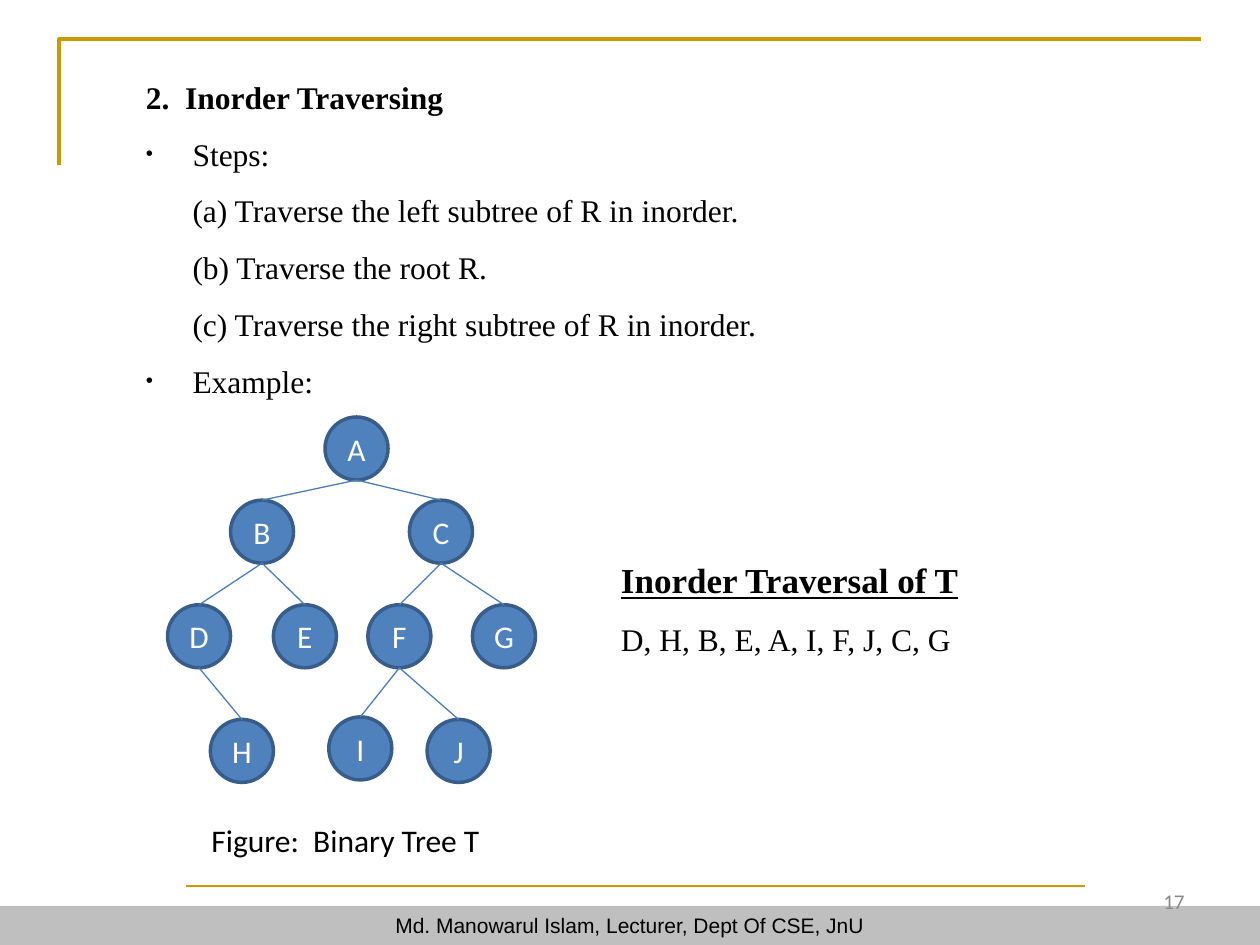
from lxml import etree
from pptx import Presentation
from pptx.dml.color import RGBColor
from pptx.enum.shapes import MSO_CONNECTOR, MSO_SHAPE
from pptx.enum.text import MSO_ANCHOR, MSO_AUTO_SIZE, PP_ALIGN
from pptx.oxml.ns import qn
from pptx.util import Pt


def color(hex_string):
    return RGBColor.from_string(hex_string)


def write(paragraph, text, font_color, **formats):
    run = paragraph.add_run()
    run.text = text
    run.font.color.rgb = color(font_color)
    for name, value in formats.items():
        setattr(run.font, name, value)


GOLD, BLACK, WHITE = "CC9900", "000000", "FFFFFF"
SERIF, SANS = "Times New Roman", "Calibri"

prs = Presentation()
prs.slide_width, prs.slide_height = Pt(720), Pt(540)
slide = prs.slides.add_slide(prs.slide_layouts[6])
shapes = slide.shapes

# Gold rule above the footer
footer_rule = shapes.add_connector(
    MSO_CONNECTOR.STRAIGHT, Pt(106.56), Pt(506.16), Pt(619.92), Pt(506.16))
footer_rule.line.color.rgb = color(GOLD)
footer_rule.line.width = Pt(1)
etree.SubElement(footer_rule._element.spPr, qn("a:effectLst"))

# Grey footer band
footer = shapes.add_shape(MSO_SHAPE.RECTANGLE, 0, Pt(517.68), Pt(720), Pt(22.32))
footer.shadow.inherit = False
footer.fill.solid()
footer.fill.fore_color.rgb = color("BFBFBF")
footer.line.fill.background()
footer.text_frame.vertical_anchor = MSO_ANCHOR.TOP
credit = footer.text_frame.paragraphs[0]
credit.alignment = PP_ALIGN.CENTER
write(credit, "Md. Manowarul Islam, Lecturer, Dept Of CSE, JnU", BLACK,
      size=Pt(12), name="Arial")

# Gold corner frame
corner_builder = shapes.build_freeform(Pt(33.84), Pt(94.32))
corner_builder.add_line_segments(
    [(Pt(33.84), Pt(22.32)), (Pt(686.16), Pt(22.32))], close=False)
corner = corner_builder.convert_to_shape()
corner.shadow.inherit = False
corner.fill.background()
corner.line.color.rgb = color(GOLD)
corner.line.width = Pt(2)

# Slide number
number_frame = shapes.add_textbox(
    Pt(516.24), Pt(500.4), Pt(167.76), Pt(28.8)).text_frame
number_frame.word_wrap = True
number_frame.vertical_anchor = MSO_ANCHOR.MIDDLE
page_number = number_frame.paragraphs[0]
page_number.alignment = PP_ALIGN.RIGHT
write(page_number, "17", "898989", size=Pt(12), name=SANS)

# Heading and steps: text, left margin, first-line indent, bulleted, bold
HANG = 26.64
steps = [
    ("2.  Inorder Traversing", HANG, -HANG, False, True),
    ("Steps:", HANG, -HANG, True, False),
    ("(a) Traverse the left subtree of R in inorder.", HANG, 0, False, False),
    ("(b) Traverse the root R.", HANG, 0, False, False),
    ("(c) Traverse the right subtree of R in inorder.", HANG, 0, False, False),
    ("Example:", HANG, -HANG, True, False),
]
steps_frame = shapes.add_textbox(
    Pt(76.32), Pt(30.24), Pt(592.56), Pt(234)).text_frame
steps_frame.word_wrap = True
steps_frame.auto_size = MSO_AUTO_SIZE.SHAPE_TO_FIT_TEXT
for i, (text, margin, indent, bulleted, bold) in enumerate(steps):
    step = steps_frame.add_paragraph() if i else steps_frame.paragraphs[0]
    step.line_spacing = 1.5
    properties = step._p.get_or_add_pPr()
    properties.set("marL", str(Pt(margin)))
    properties.set("indent", str(Pt(indent)))
    if bulleted:
        bullet_color = etree.SubElement(properties, qn("a:buClr"))
        etree.SubElement(bullet_color, qn("a:srgbClr"), val=BLACK)
        etree.SubElement(properties, qn("a:buSzPct"), val="65000")
        etree.SubElement(properties, qn("a:buFont"), typeface="Arial")
        etree.SubElement(properties, qn("a:buChar"), char="•")
    else:
        etree.SubElement(properties, qn("a:buNone"))
    write(step, text, BLACK, size=Pt(18), name=SERIF, bold=bold)

# Tree nodes: left and top of each circle
NODE = 36
node_places = {
    "A": (185.76, 238.32),
    "B": (131.76, 285.84), "C": (234, 285.84),
    "D": (95.76, 345.6), "E": (156.24, 345.6),
    "F": (210.24, 345.6), "G": (270, 345.6),
    "H": (120.24, 411.12), "I": (187.92, 409.68), "J": (244.08, 411.12),
}
nodes = {}
for letter, (left, top) in node_places.items():
    node = shapes.add_shape(MSO_SHAPE.OVAL, Pt(left), Pt(top), Pt(NODE), Pt(NODE))
    node.shadow.inherit = False
    node.fill.solid()
    node.fill.fore_color.rgb = color("4F81BD")
    node.line.color.rgb = color("385D8A")
    node.line.width = Pt(2)
    node.text_frame.vertical_anchor = MSO_ANCHOR.MIDDLE
    label = node.text_frame.paragraphs[0]
    label.alignment = PP_ALIGN.CENTER
    write(label, letter, WHITE, size=Pt(18), name=SANS)
    nodes[letter] = node

# Tree edges, from the bottom of a parent to the top of a child
for parent, child in ("AB", "AC", "BE", "BD", "CG", "CF", "DH", "FI", "FJ"):
    parent_left, parent_top = node_places[parent]
    child_left, child_top = node_places[child]
    edge = shapes.add_connector(
        MSO_CONNECTOR.STRAIGHT,
        Pt(parent_left + NODE / 2), Pt(parent_top + NODE),
        Pt(child_left + NODE / 2), Pt(child_top))
    edge.end_connect(nodes[child], 0)
    edge.line.color.rgb = color("4A7EBB")
    edge.line.width = Pt(0.75)
    etree.SubElement(edge._element.spPr, qn("a:effectLst"))

# Traversal result
result_frame = shapes.add_textbox(
    Pt(347.76), Pt(303.84), Pt(288), Pt(75.6)).text_frame
result_frame.word_wrap = True
result_frame.auto_size = MSO_AUTO_SIZE.SHAPE_TO_FIT_TEXT
result_title, result_order = result_frame.paragraphs[0], result_frame.add_paragraph()
result_title.line_spacing = result_order.line_spacing = 1.5
write(result_title, "Inorder Traversal of T", BLACK,
      size=Pt(20), name=SERIF, bold=True, underline=True)
write(result_order, "D, H, B, E, A, I, F, J, C, G", BLACK, size=Pt(18), name=SERIF)

# Figure caption
caption_frame = shapes.add_textbox(
    Pt(113.76), Pt(465.84), Pt(324), Pt(28.8)).text_frame
caption_frame.word_wrap = True
caption_frame.auto_size = MSO_AUTO_SIZE.SHAPE_TO_FIT_TEXT
write(caption_frame.paragraphs[0], "Figure:  Binary Tree T", BLACK,
      size=Pt(18), name=SANS)

prs.save("out.pptx")
